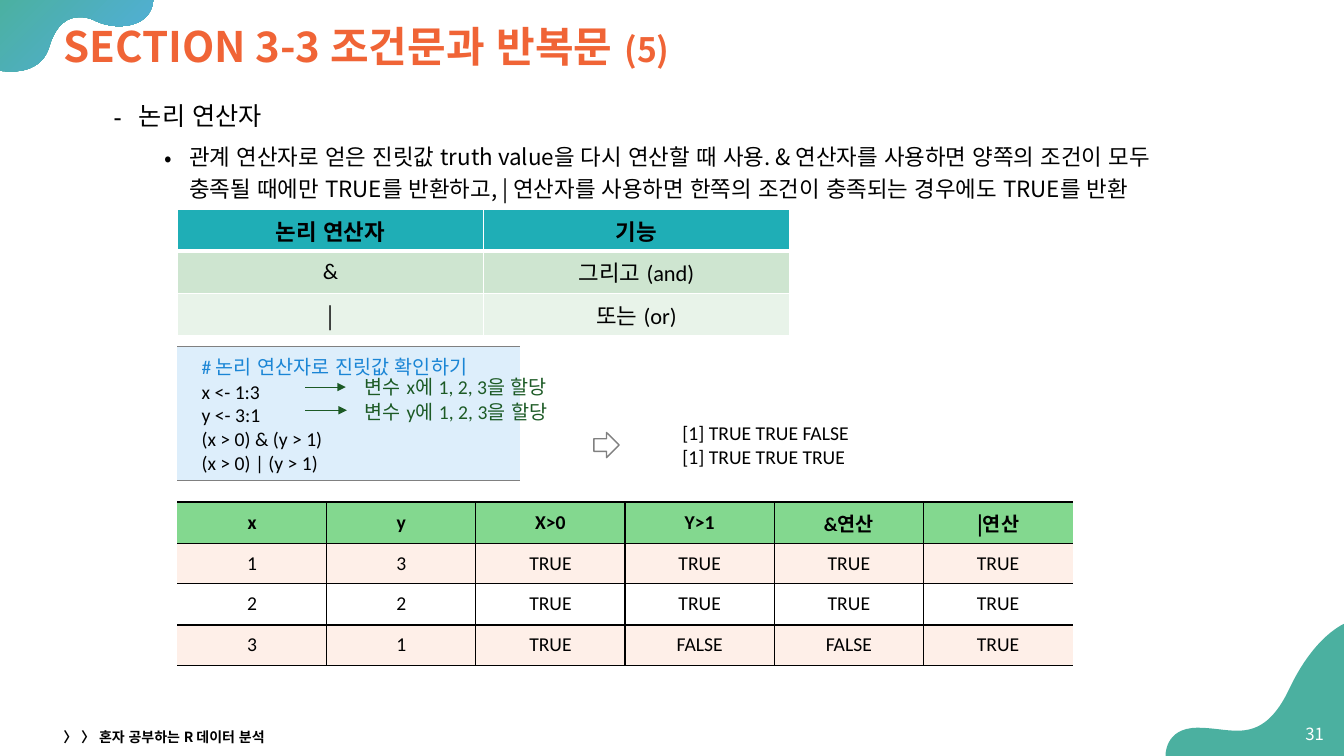
from dataclasses import dataclass
from typing import NamedTuple

from lxml.etree import SubElement
from pptx import Presentation
from pptx.dml.color import RGBColor
from pptx.enum.lang import MSO_LANGUAGE_ID
from pptx.enum.shapes import MSO_CONNECTOR, MSO_SHAPE
from pptx.enum.text import MSO_ANCHOR, PP_ALIGN
from pptx.oxml.ns import qn
from pptx.util import Emu, Pt

EMU_PER_PX = 9144
KOREAN = "Noto Sans CJK KR"
LATIN = "Calibri"

BLACK = RGBColor(0x00, 0x00, 0x00)
WHITE = RGBColor(0xFF, 0xFF, 0xFF)
GRAY = RGBColor(0x80, 0x80, 0x80)
ORANGE = RGBColor(0xF0, 0x64, 0x36)
TEAL = RGBColor(0x4B, 0xB0, 0xA0)
SKY = RGBColor(0x52, 0xAE, 0xE1)
DARK_GREEN = RGBColor(0x1C, 0x5A, 0x25)
COMMENT_BLUE = RGBColor(0x1A, 0x85, 0xD5)
CODE_FILL = RGBColor(0xDD, 0xEE, 0xFB)
OPERATOR_HEADER = RGBColor(0x1F, 0xAE, 0xB6)
OPERATOR_BANDS = (RGBColor(0xCE, 0xE5, 0xD0), RGBColor(0xE8, 0xF3, 0xE9))
TRUTH_HEADER = RGBColor(0x83, 0xD8, 0x8F)
TRUTH_BANDS = (RGBColor(0xFE, 0xEF, 0xE8), WHITE)


class Box(NamedTuple):
    left: int
    top: int
    width: int
    height: int


class Style(NamedTuple):
    size: int
    color: RGBColor = BLACK
    font: str = LATIN
    bold: bool = False
    align: PP_ALIGN = PP_ALIGN.LEFT
    line_spacing: float = 1.0


class Bullet(NamedTuple):
    char: str
    margin: int
    text: str
    size: int
    space_before: int


class Border(NamedTuple):
    color: RGBColor
    width: float


@dataclass
class TextBlock:
    box: Box
    lines: list
    style: Style
    anchor: MSO_ANCHOR = MSO_ANCHOR.TOP


@dataclass
class Grid:
    box: Box
    row_heights: list
    rows: list
    size: int
    header_fill: RGBColor
    bands: tuple
    border: Border
    header_rule: Border
    open_sides: bool


def px(length: int) -> Emu:
    return Emu(length * EMU_PER_PX)


def write(paragraph, parts, style: Style) -> None:
    if isinstance(parts, str):
        paragraph.text = parts
    else:
        for part in parts:
            paragraph.add_run().text = part
    paragraph.alignment = style.align
    paragraph.line_spacing = style.line_spacing
    font = paragraph.font
    font.name, font.size, font.bold = style.font, Pt(style.size), style.bold
    font.color.rgb = style.color
    font.language_id = MSO_LANGUAGE_ID.KOREAN
    font._rPr.set("kern", "0")
    SubElement(font._rPr, qn("a:ea")).set("typeface", KOREAN)


def paragraph_at(frame, index: int):
    return frame.add_paragraph() if index else frame.paragraphs[0]


def add_text(slide, block: TextBlock):
    frame = slide.shapes.add_textbox(*map(px, block.box)).text_frame
    frame.word_wrap = True
    frame.vertical_anchor = block.anchor
    for index, line in enumerate(block.lines):
        write(paragraph_at(frame, index), line, block.style)
    return frame


def add_bullets(slide, box: Box, bullets: list[Bullet]) -> None:
    frame = add_text(slide, TextBlock(box, [], Style(18)))
    for index, bullet in enumerate(bullets):
        paragraph = paragraph_at(frame, index)
        properties = paragraph._p.get_or_add_pPr()
        properties.set("marL", str(px(bullet.margin)))
        properties.set("indent", str(px(-25)))
        SubElement(properties, qn("a:buFont")).set("typeface", KOREAN)
        SubElement(properties, qn("a:buChar")).set("char", bullet.char)
        paragraph.space_before = Pt(bullet.space_before)
        write(paragraph, bullet.text, Style(bullet.size, font=KOREAN, line_spacing=1.2))


def add_blob(slide, start: tuple, segments: list):
    builder = slide.shapes.build_freeform(*start, scale=EMU_PER_PX)
    builder.add_line_segments([point for segment in segments for point in segment], close=True)
    blob = builder.convert_to_shape()
    blob.shadow.inherit = False
    blob.line.fill.background()
    lines = iter(list(blob._element.iter(qn("a:lnTo"))))
    for segment in segments:
        first, *others = [next(lines) for _ in segment]
        if others:
            first.tag = qn("a:cubicBezTo")
        for other in others:
            first.append(other[0])
            other.getparent().remove(other)
    return blob


def paint_cell(cell, fill: RGBColor, borders: dict) -> None:
    properties = cell._tc.get_or_add_tcPr()
    for side in "LRTB":
        border = borders.get(side)
        edge = SubElement(properties, qn(f"a:ln{side}"))
        if border:
            edge.set("w", str(Pt(border.width)))
            solid = SubElement(edge, qn("a:solidFill"))
            SubElement(solid, qn("a:srgbClr")).set("val", str(border.color))
        else:
            SubElement(edge, qn("a:noFill"))
    cell.fill.solid()
    cell.fill.fore_color.rgb = fill


def add_plain_table(slide, box: Box, row_heights: list, column_count: int):
    table = slide.shapes.add_table(len(row_heights), column_count, *map(px, box)).table
    table.first_row = table.horz_banding = False
    for row, height in zip(table.rows, row_heights):
        row.height = px(height)
    return table


def add_grid(slide, grid: Grid) -> None:
    last = len(grid.rows[0]) - 1
    table = add_plain_table(slide, grid.box, grid.row_heights, last + 1)
    for r, row in enumerate(grid.rows):
        fill = grid.bands[(r - 1) % 2] if r else grid.header_fill
        for c, text in enumerate(row):
            cell = table.cell(r, c)
            borders = dict.fromkeys("LRTB", grid.border)
            if r < 2:
                borders["T" if r else "B"] = grid.header_rule
            if grid.open_sides and c in (0, last):
                borders.pop("R" if c else "L")
            paint_cell(cell, fill, borders)
            cell.vertical_anchor = MSO_ANCHOR.MIDDLE
            paragraph = cell.text_frame.paragraphs[0]
            write(paragraph, text, Style(grid.size, bold=r == 0, align=PP_ALIGN.CENTER))
            if text[0] == "|":
                paragraph.runs[0].font.name = KOREAN


def add_code(slide, box: Box, lines: list[str]) -> None:
    cell = add_plain_table(slide, box, [box.height], 1).cell(0, 0)
    rule = Border(GRAY, 1)
    paint_cell(cell, CODE_FILL, {"T": rule, "B": rule})
    cell.margin_left = px(24)
    for index, line in enumerate(lines):
        color = COMMENT_BLUE if line.startswith("#") else BLACK
        write(paragraph_at(cell.text_frame, index), line, Style(14, color))


def add_arrow(slide, left: int, right: int, y: int) -> None:
    arrow = slide.shapes.add_connector(MSO_CONNECTOR.STRAIGHT, px(left), px(y), px(right), px(y))
    arrow.line.color.rgb = DARK_GREEN
    arrow.line.width = Pt(0.5)
    SubElement(arrow.line._get_or_add_ln(), qn("a:tailEnd")).set("type", "triangle")
    SubElement(arrow._element.spPr, qn("a:effectLst"))


def main() -> None:
    deck = Presentation()
    deck.slide_width, deck.slide_height = px(1333), px(750)
    slide = deck.slides.add_slide(deck.slide_layouts[6])

    top_blob = add_blob(slide, (152, -2), [
        ((-1, -2),), ((-1, 70),), ((-1, 70), (4, 71), (11, 71)), ((24, 71), (43, 67), (49, 46)),
        ((56, 23), (68, 17), (79, 17)), ((84, 17), (89, 18), (93, 20)),
        ((101, 24), (110, 26), (118, 26)), ((137, 26), (152, 17), (152, -2))])
    top_blob.fill.gradient()
    top_blob.fill.gradient_angle = 315
    for stop, color, position in zip(top_blob.fill.gradient_stops, (TEAL, SKY), (0, 1)):
        stop.color.rgb, stop.position = color, position
    bottom_blob = add_blob(slide, (1335, 618), [
        ((1335, 618), (1304, 629), (1278, 685)), ((1262, 718), (1245, 725), (1227, 725)),
        ((1215, 725), (1202, 722), (1188, 722)), ((1154, 722), (1156, 751), (1156, 751)), ((1335, 751),)])
    bottom_blob.fill.solid()
    bottom_blob.fill.fore_color.rgb = TEAL

    title = add_text(slide, TextBlock(
        Box(53, 12, 1234, 73), [("SECTION 3-3 조건문과 반복문 ", "(5)")],
        Style(30, ORANGE, KOREAN, True, line_spacing=0.9), MSO_ANCHOR.MIDDLE))
    title.paragraphs[0].runs[1].font.size = Pt(24)
    add_text(slide, TextBlock(Box(1279, 708, 44, 40), ["31"],
                              Style(12, WHITE, KOREAN, align=PP_ALIGN.RIGHT), MSO_ANCHOR.MIDDLE))
    add_text(slide, TextBlock(Box(53, 719, 450, 24), ["〉 〉 혼자 공부하는 R 데이터 분석"],
                              Style(10, font=KOREAN, bold=True), MSO_ANCHOR.MIDDLE))
    add_bullets(slide, Box(53, 89, 1234, 575), [
        Bullet("⁃", 75, "논리 연산자", 18, 0),
        Bullet("•", 125, "관계 연산자로 얻은 진릿값 truth value을 다시 연산할 때 사용. & 연산자를 사용하면 양쪽의 조건이 모두 \n"
               "충족될 때에만 TRUE를 반환하고, | 연산자를 사용하면 한쪽의 조건이 충족되는 경우에도 TRUE를 반환", 16, 5)])

    add_grid(slide, Grid(
        Box(176, 208, 607, 125), [41, 42, 42],
        [("논리 연산자", "기능"), ("&", "그리고 (and)"), ("|", "또는 (or)")],
        16, OPERATOR_HEADER, OPERATOR_BANDS, Border(WHITE, 1), Border(WHITE, 3), False))
    add_code(slide, Box(176, 344, 340, 133), [
        "# 논리 연산자로 진릿값 확인하기", "x <- 1:3", "y <- 3:1", "(x > 0) & (y > 1)", "(x > 0) | (y > 1)"])
    for variable, top in (("x", 367), ("y", 392)):
        add_text(slide, TextBlock(Box(352, top, 255, 34), [f"변수 {variable}에 1, 2, 3을 할당"], Style(14, DARK_GREEN)))
    result_arrow = slide.shapes.add_shape(MSO_SHAPE.RIGHT_ARROW, *map(px, Box(589, 429, 25, 25)))
    result_arrow.shadow.inherit = False
    result_arrow.fill.background()
    result_arrow.line.color.rgb = GRAY
    result_arrow.line.width = Pt(1)
    add_text(slide, TextBlock(Box(667, 413, 361, 57), ["[1] TRUE TRUE FALSE", "[1] TRUE TRUE TRUE"], Style(14)))
    for right, y in ((343, 384), (344, 407)):
        add_arrow(slide, 303, right, y)
    black_rule = Border(BLACK, 1)
    add_grid(slide, Grid(
        Box(176, 498, 888, 162), [41, 40, 41, 40],
        [("x", "y", "X>0", "Y>1", "&연산", ("|", "연산")),
         ("1", "3", "TRUE", "TRUE", "TRUE", "TRUE"),
         ("2", "2", "TRUE", "TRUE", "TRUE", "TRUE"),
         ("3", "1", "TRUE", "FALSE", "FALSE", "TRUE")],
        14, TRUTH_HEADER, TRUTH_BANDS, black_rule, black_rule, True))

    deck.save("out.pptx")


if __name__ == "__main__":
    main()
